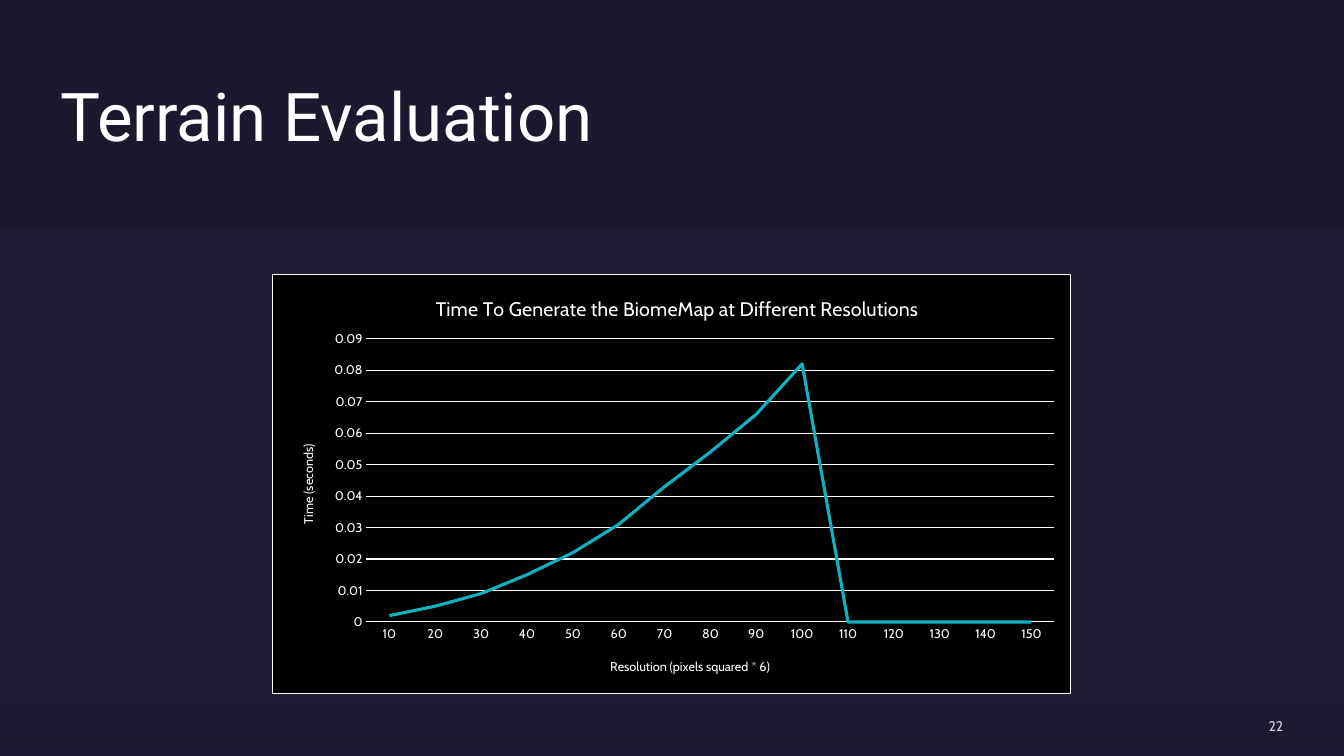
from lxml import etree
from pptx import Presentation
from pptx import util as u
from pptx.chart.data import CategoryChartData
from pptx.dml.color import RGBColor
from pptx.enum import chart as ch, shapes, text
from pptx.oxml import parse_xml
from pptx.oxml.ns import nsdecls, qn

NAVY = RGBColor(0x1B, 0x19, 0x2E)
VIOLET = RGBColor(0x77, 0x71, 0xB2)
WHITE = RGBColor(0xFF, 0xFF, 0xFF)
BLACK = RGBColor(0, 0, 0)
TEAL = RGBColor(0x12, 0xB1, 0xBF)
WIDTH, HEIGHT = u.Cm(33.87), u.Cm(19.05)
TIMES = [0.002, 0.005, 0.009, 0.015, 0.022, 0.031, 0.043, 0.054, 0.066, 0.082] + [0] * 5


def set_alpha(fill_parent, percent):
    clr = next(fill_parent.iter(qn("a:srgbClr")))
    etree.SubElement(clr, qn("a:alpha")).set("val", str(percent * 1000))


def add_band(s, top, height, color, alpha=None):
    sp = s.shapes.add_shape(shapes.MSO_SHAPE.RECTANGLE, 0, top, WIDTH, height)
    sp.shadow.inherit = False
    sp.fill.solid()
    sp.fill.fore_color.rgb = color
    sp.line.fill.background()
    if alpha is not None:
        set_alpha(sp._element.spPr, alpha)
    return sp


def fade_down(sp, color, stops):
    """Replace the solid fill by a downward fade of one colour."""
    gs = "".join(f'<a:gs pos="{pos * 1000}"><a:srgbClr val="{color}">'
                 f'<a:alpha val="{alpha * 1000}"/></a:srgbClr></a:gs>' for pos, alpha in stops)
    grad = parse_xml(f'<a:gradFill {nsdecls("a")} rotWithShape="1"><a:gsLst>{gs}</a:gsLst>'
                     '<a:lin ang="5400000" scaled="0"/></a:gradFill>')
    spPr = sp._element.spPr
    spPr.replace(spPr.find(qn("a:solidFill")), grad)


def set_font(font, name, size):
    font.name, font.size, font.bold = name, u.Pt(size), False
    font.color.rgb = WHITE


def add_text(s, box, content, name, size, align):
    tf = s.shapes.add_textbox(*map(u.Cm, box)).text_frame
    tf.word_wrap = True
    tf.vertical_anchor = text.MSO_ANCHOR.MIDDLE
    tf.margin_left = tf.margin_right = tf.margin_top = tf.margin_bottom = 0
    p = tf.paragraphs[0]
    p.alignment, p.space_after = align, u.Pt(6)
    r = p.add_run()
    r.text = content
    set_font(r.font, name, size)
    return r


def place(parent, inner=False, **sizes):
    """Give a chart part a manual layout, in fractions of the chart."""
    old = parent.find(qn("c:layout"))
    if old is not None:
        parent.remove(old)
    target = '<c:layoutTarget val="inner"/>' if inner else ""
    modes = "".join(f'<c:{k}Mode val="edge"/>' for k in "xy")
    values = "".join(f'<c:{k} val="{v}"/>' for k, v in sizes.items())
    layout = parse_xml(f'<c:layout {nsdecls("c")}><c:manualLayout>{target}{modes}{values}'
                       '</c:manualLayout></c:layout>')
    tx = parent.find(qn("c:tx"))
    if tx is None:
        parent.insert(0, layout)
    else:
        tx.addnext(layout)


def add_title(owner, content, size, x, y):
    owner.has_title = True
    title = owner.chart_title if hasattr(owner, "chart_title") else owner.axis_title
    r = title.text_frame.paragraphs[0].add_run()
    r.text = content
    set_font(r.font, "Cabin", size)
    place(title._element, x=x, y=y)


def white_line(line):
    line.color.rgb = WHITE
    line.width = u.Pt(0.75)


def frame_chart(chart):
    """Black chart area with a thin white, square-cornered border."""
    space = chart._chartSpace
    space.find(qn("c:chart")).addnext(parse_xml(
        f'<c:spPr {nsdecls("c", "a")}><a:solidFill><a:srgbClr val="{BLACK}"/></a:solidFill>'
        f'<a:ln w="{u.Pt(0.75)}"><a:solidFill><a:srgbClr val="{WHITE}"/></a:solidFill></a:ln></c:spPr>'))
    if space.find(qn("c:roundedCorners")) is None:
        space.find(qn("c:date1904")).addnext(
            parse_xml(f'<c:roundedCorners {nsdecls("c")} val="0"/>'))


def add_time_chart(s):
    data = CategoryChartData()
    data.categories = [str(n) for n in range(10, 151, 10)]
    data.add_series("Series 1", TIMES)
    box = map(u.Cm, (6.86, 6.91, 20.14, 10.57))
    chart = s.shapes.add_chart(ch.XL_CHART_TYPE.LINE, *box, data).chart
    chart.has_legend = False
    set_font(chart.font, "Cabin", 10)
    frame_chart(chart)

    # Titles and plot area
    add_title(chart, "Time To Generate the BiomeMap at Different Resolutions", 14, 0.2, 0.04)
    add_title(chart.category_axis, "Resolution (pixels squared * 6)", 9, 0.42, 0.91)
    add_title(chart.value_axis, "Time (seconds)", 9, 0.03, 0.4)
    place(chart._chartSpace.chart.plotArea, inner=True, x=0.1175, y=0.153, w=0.862, h=0.677)

    # Axes
    for axis in (chart.category_axis, chart.value_axis):
        axis.major_tick_mark = axis.minor_tick_mark = ch.XL_TICK_MARK.NONE
        set_font(axis.tick_labels.font, "Cabin", 9)
    white_line(chart.category_axis.format.line)
    val = chart.value_axis
    val.minimum_scale, val.maximum_scale, val.major_unit = 0, 0.09, 0.01
    val.format.line.fill.background()
    white_line(val.major_gridlines.format.line)

    # Line
    chart.plots[0].vary_by_categories = False
    series = chart.plots[0].series[0]
    series.smooth = False
    series.marker.style = ch.XL_MARKER_STYLE.NONE
    series.format.line.color.rgb = TEAL
    series.format.line.width = u.Pt(2.25)


def main():
    prs = Presentation()
    prs.slide_width, prs.slide_height = WIDTH, HEIGHT
    s = prs.slides.add_slide(prs.slide_layouts[6])
    s.background.fill.solid()
    s.background.fill.fore_color.rgb = NAVY

    # Backdrop and title
    add_band(s, 0, HEIGHT, NAVY)
    add_text(s, (1.52, 1.52, 17.7, 2.74), "Terrain Evaluation", "Roboto", 48, text.PP_ALIGN.LEFT)
    add_band(s, u.Cm(5.79), u.Cm(13.26), VIOLET, 5)
    fade_down(add_band(s, u.Cm(16.03), u.Cm(3.02), NAVY), NAVY, [(28, 0), (90, 60)])

    # Page number
    r = add_text(s, (27.64, 18.08, 4.7, 0.43), "22", "Cabin", 10, text.PP_ALIGN.RIGHT)
    set_alpha(r._r, 80)

    add_time_chart(s)
    prs.save("out.pptx")


if __name__ == "__main__":
    main()
